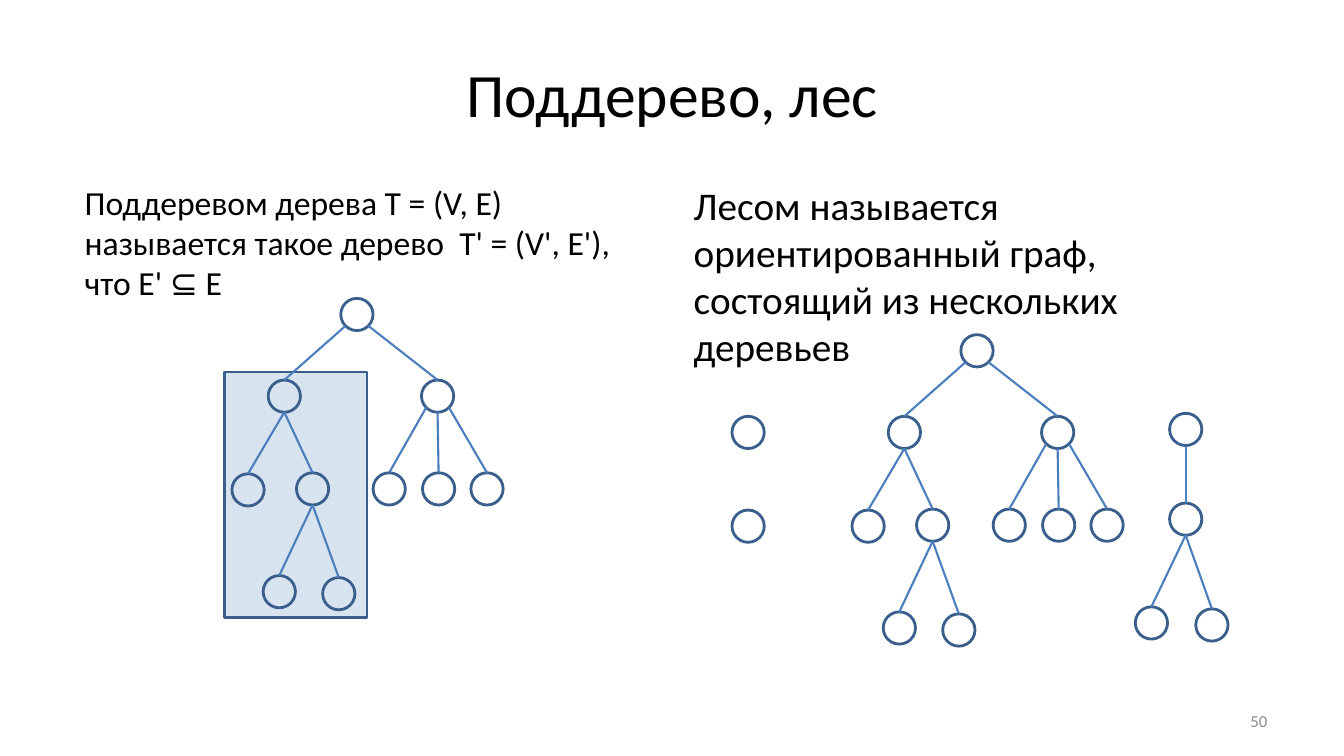
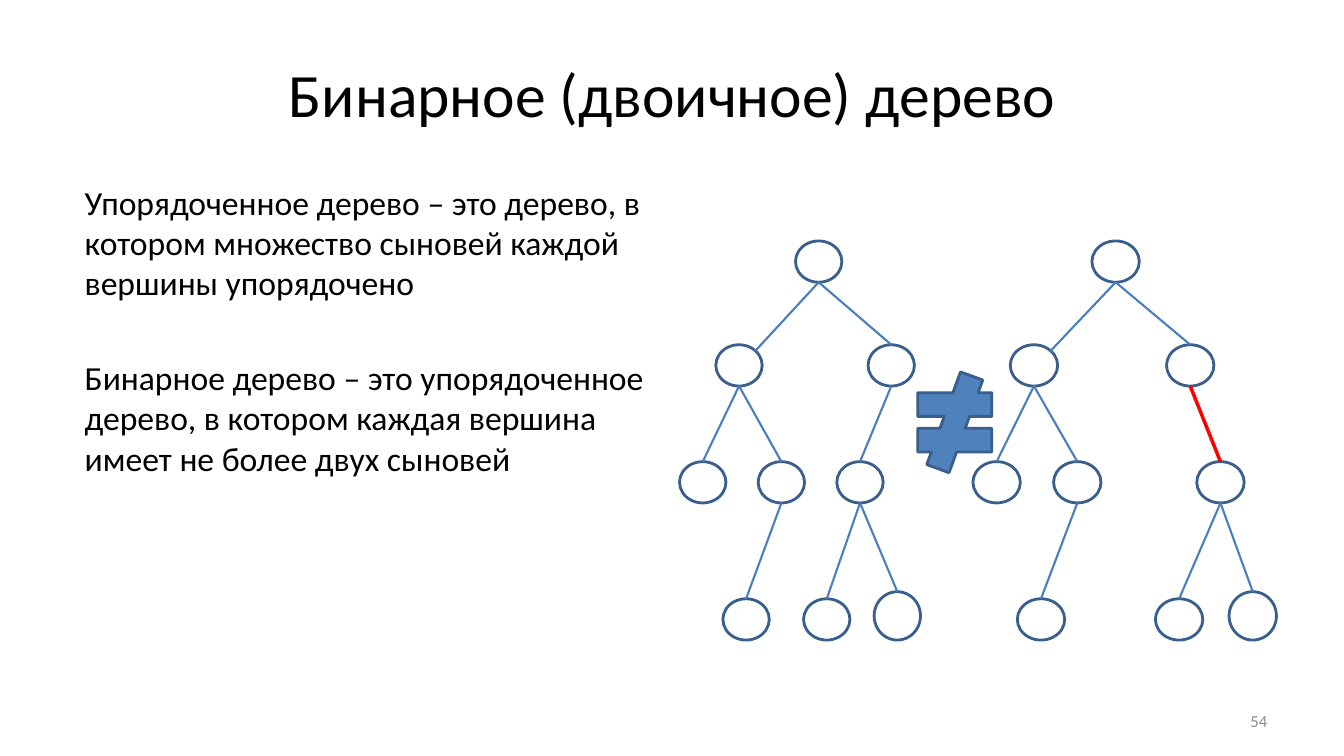
from typing import NamedTuple, Optional

from lxml.etree import SubElement
from pptx import Presentation
from pptx.dml.color import RGBColor
from pptx.enum.shapes import MSO_CONNECTOR as Connector, MSO_SHAPE as Shape
from pptx.enum.text import MSO_ANCHOR as Anchor, MSO_AUTO_SIZE as AutoSize, PP_ALIGN as Align
from pptx.oxml.ns import qn
from pptx.util import Pt

PX = 9144
FONT = "Calibri"
BLACK = RGBColor(0x00, 0x00, 0x00)
GRAY = RGBColor(0x8C, 0x8C, 0x8C)
BLUE = RGBColor(0x4F, 0x81, 0xBD)
OUTLINE = RGBColor(0x3A, 0x5F, 0x8C)
EDGE = RGBColor(0x4B, 0x7E, 0xBC)
RED = RGBColor(0xFF, 0x00, 0x00)
TITLE_AND_CONTENT, TWO_CONTENT = 1, 3
LEFT_COLUMN = (67, 175, 589, 495)
RIGHT_COLUMN = (678, 175, 589, 495)
DIAGONAL = 0.35


class Vertex(NamedTuple):
    x: int
    y: int
    height: Optional[int] = None


class Arc(NamedTuple):
    parent: int
    child: int
    leaves: int = 0
    enters: int = 0


class Deck:
    def __init__(self):
        self.file = Presentation()
        self.file.slide_width = 1333 * PX
        self.file.slide_height = 750 * PX
        self.slide = None

    def new_slide(self, layout, title, number):
        self.slide = self.file.slides.add_slide(self.file.slide_layouts[layout])
        heading = self.slide.shapes.title
        self.place(heading, 67, 30, 1200, 125)
        self.label(heading.text_frame, title, 44, BLACK, Align.CENTER)
        footer = self.slide.shapes.add_textbox(*self.emu(956, 695, 311, 40))
        self.label(footer.text_frame, number, 12, GRAY, Align.RIGHT)

    def emu(self, *lengths):
        return [round(length * PX) for length in lengths]

    def place(self, holder, *box):
        holder.left, holder.top, holder.width, holder.height = self.emu(*box)

    def label(self, frame, text, size, color, align):
        frame.word_wrap = True
        frame.auto_size = AutoSize.NONE
        frame.vertical_anchor = Anchor.MIDDLE
        paragraph = frame.paragraphs[0]
        paragraph.alignment = align
        self.run(paragraph, text, size, color)

    def run(self, paragraph, text, size, color):
        run = paragraph.add_run()
        run.text = text
        run.font.name = FONT
        run.font.size = Pt(size)
        run.font.color.rgb = color

    def body(self, index, box, texts, size, indent=0, gap=39):
        holder = self.slide.placeholders[index]
        self.place(holder, *box)
        frame = holder.text_frame
        frame.auto_size = AutoSize.NONE
        for position, text in enumerate(texts):
            paragraph = frame.add_paragraph() if position else frame.paragraphs[0]
            if position:
                paragraph.space_before = Pt(gap)
            properties = paragraph._p.get_or_add_pPr()
            properties.set("marL", str(indent * PX))
            properties.set("indent", "0")
            SubElement(properties, qn("a:buNone"))
            self.run(paragraph, text, size, BLACK)

    def group(self):
        return self.slide.shapes.add_group_shape().shapes

    def shape(self, shapes, kind, box, fill=None, alpha=None):
        figure = shapes.add_shape(kind, *self.emu(*box))
        figure.shadow.inherit = False
        figure.line.color.rgb = OUTLINE
        figure.line.width = Pt(2)
        if fill is None:
            figure.fill.background()
        else:
            figure.fill.solid()
            figure.fill.fore_color.rgb = fill
        if alpha is not None:
            color = figure._element.spPr.find(qn("a:solidFill"))[0]
            SubElement(color, qn("a:alpha")).set("val", str(alpha * 1000))
        return figure

    def rim(self, circle, side, vertical):
        reach_x, reach_y = (side * DIAGONAL, DIAGONAL) if side else (0, 0.5)
        return (round(circle.left + circle.width * (0.5 + reach_x)),
                round(circle.top + circle.height * (0.5 + vertical * reach_y)))

    def arc(self, shapes, parent, child, leaves, enters, color, width):
        start = self.rim(parent, leaves, 1)
        end = self.rim(child, enters, -1)
        line = shapes.add_connector(Connector.STRAIGHT, *start, *end)
        line.line.color.rgb = color
        line.line.width = Pt(width)
        SubElement(line._element.spPr, qn("a:effectLst"))
        if not enters:
            line.end_connect(child, 0)

    def tree(self, shapes, root, size, vertices, arcs=(), accent=None):
        width, height = size
        circles = [
            self.shape(shapes, Shape.OVAL,
                       (root[0] + vertex.x, root[1] + vertex.y, width, vertex.height or height))
            for vertex in vertices
        ]
        for parent, child, leaves, enters in arcs:
            style = (RED, 2.5) if (parent, child) == accent else (EDGE, 1.5)
            self.arc(shapes, circles[parent], circles[child], leaves, enters, *style)


SMALL = (32, 32)
ROOT_ONLY = [Vertex(0, 0)]
WIDE_TREE = [
    Vertex(0, 0), Vertex(-72, 81), Vertex(80, 81),
    Vertex(-108, 174), Vertex(-44, 173),
    Vertex(32, 173), Vertex(81, 173), Vertex(129, 173),
    Vertex(-77, 275), Vertex(-18, 277),
]
WIDE_ARCS = [
    Arc(0, 1, -1), Arc(0, 2, 1), Arc(1, 3), Arc(1, 4),
    Arc(2, 5, -1), Arc(2, 6), Arc(2, 7, 1), Arc(4, 8), Arc(4, 9),
]
NARROW_TREE = [Vertex(0, 0), Vertex(0, 89), Vertex(-34, 192), Vertex(26, 194)]
NARROW_ARCS = [Arc(0, 1), Arc(1, 2), Arc(1, 3)]

LEFT_SON_TREE = [
    Vertex(0, 0), Vertex(-79, 103), Vertex(72, 103),
    Vertex(-115, 219), Vertex(-37, 219), Vertex(41, 219),
    Vertex(-72, 355), Vertex(8, 355), Vertex(78, 348, 48),
]
RIGHT_SON_TREE = [
    Vertex(0, 0), Vertex(-81, 103), Vertex(74, 103),
    Vertex(-118, 219), Vertex(-38, 219), Vertex(104, 219),
    Vertex(-74, 355), Vertex(63, 355), Vertex(136, 348, 48),
]
BINARY_ARCS = [
    Arc(0, 1, 0, 1), Arc(0, 2), Arc(1, 3), Arc(1, 4),
    Arc(2, 5), Arc(4, 6), Arc(5, 7), Arc(5, 8),
]


def subtree_and_forest(deck):
    deck.new_slide(TWO_CONTENT, "Поддерево, лес", "50")
    deck.body(1, LEFT_COLUMN, [
        "Поддеревом дерева Т = (V, E) называется такое дерево  T' = (V', E'), что E' ⊆ E",
    ], 24, indent=7)
    deck.body(2, RIGHT_COLUMN, [
        "Лесом называется ориентированный граф, состоящий из нескольких деревьев",
    ], 28)
    subtree = deck.group()
    deck.shape(subtree, Shape.RECTANGLE, (223, 369, 141, 244), BLUE, alpha=22)
    deck.tree(subtree, (338, 296), SMALL, WIDE_TREE, WIDE_ARCS)
    forest = deck.group()
    deck.tree(forest, (953, 332), SMALL, WIDE_TREE, WIDE_ARCS)
    deck.tree(forest, (1160, 410), SMALL, NARROW_TREE, NARROW_ARCS)
    for top in (413, 506):
        deck.tree(forest, (726, top), SMALL, ROOT_ONLY)


def binary_tree(deck):
    deck.new_slide(TITLE_AND_CONTENT, "Бинарное (двоичное) дерево", "54")
    deck.body(1, LEFT_COLUMN, [
        "Упорядоченное дерево – это дерево, в котором множество сыновей каждой вершины упорядочено",
        "Бинарное дерево – это упорядоченное дерево, в котором каждая вершина имеет не более двух сыновей",
    ], 24, indent=7)
    deck.tree(deck.group(), (789, 239), (46, 41), LEFT_SON_TREE, BINARY_ARCS)
    deck.tree(deck.group(), (1083, 239), (47, 41), RIGHT_SON_TREE, BINARY_ARCS, accent=(2, 5))
    deck.shape(deck.slide.shapes, Shape.MATH_NOT_EQUAL, (897, 369, 100, 100), BLUE)


def main():
    deck = Deck()
    subtree_and_forest(deck)
    binary_tree(deck)
    deck.file.save("out.pptx")


if __name__ == "__main__":
    main()
